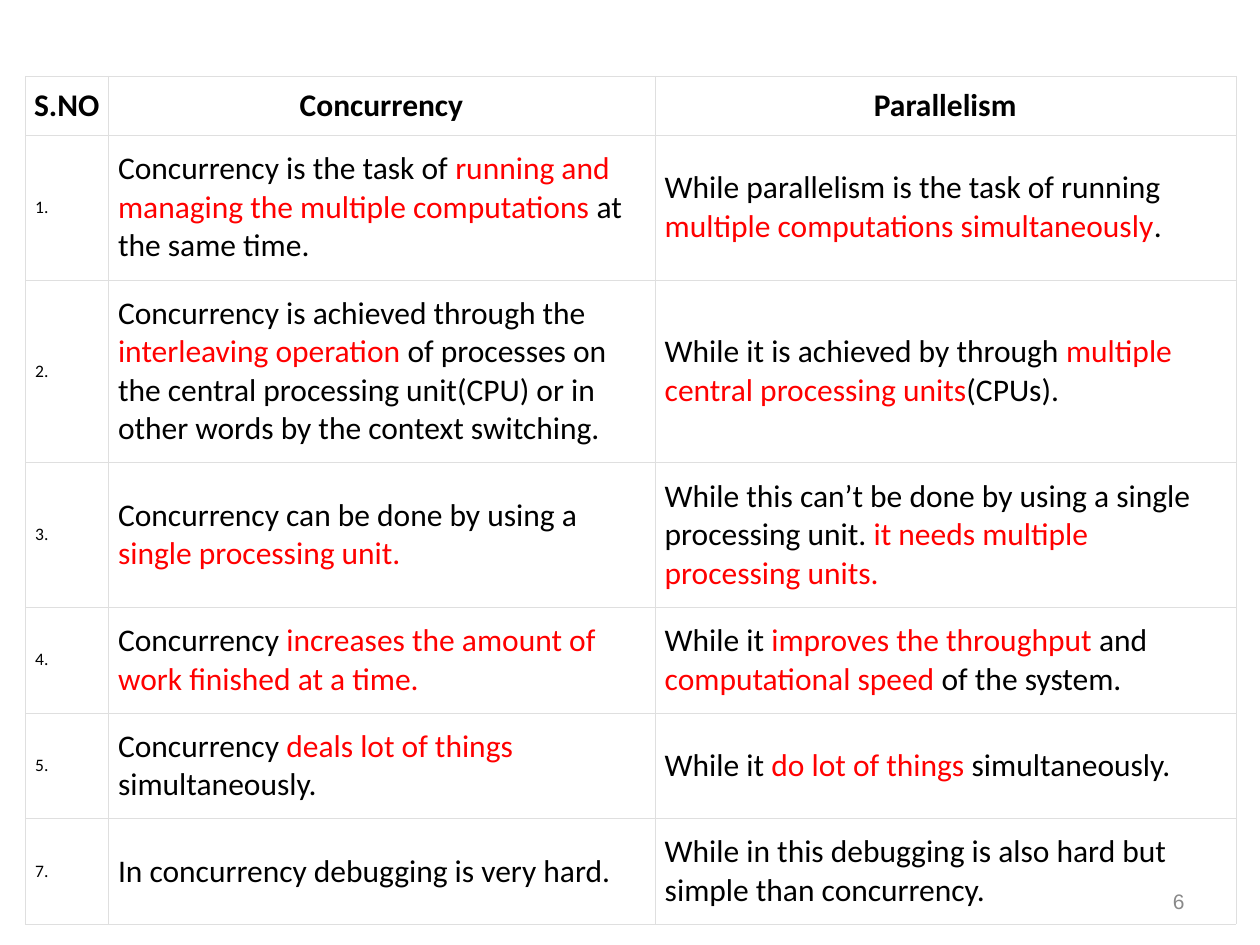
from lxml.etree import SubElement as Sub
from pptx import Presentation
from pptx.dml.color import RGBColor
from pptx.enum.text import MSO_ANCHOR as Anchor, PP_ALIGN as Align
from pptx.oxml.ns import qn
from pptx.util import Cm, Pt

BLACK = RGBColor(0x00, 0x00, 0x00)
RED = RGBColor(0xFF, 0x00, 0x00)
WHITE = RGBColor(0xFF, 0xFF, 0xFF)
GREY = RGBColor(0x89, 0x89, 0x89)
RULE = RGBColor(0xDF, 0xDF, 0xDF)

COLS = [1.67, 11.02, 11.71]
HEIGHTS = [1.19, 2.92, 3.68, 2.92, 2.13, 2.13, 2.13]
MARK = "|"
HEADS = ["S.NO", "Concurrency", "Parallelism"]
ROWS = [
    ["1.",
     "Concurrency is the task of |running and managing the multiple computations |at the same time.",
     "While parallelism is the task of running |multiple computations simultaneously|."],
    ["2.",
     "Concurrency is achieved through the |interleaving operation |of processes on the "
     "central processing unit(CPU) or in other words by the context switching.",
     "While it is achieved by through |multiple central processing units|(CPUs)."],
    ["3.",
     "Concurrency can be done by using a |single processing unit.",
     "While this can’t be done by using a single processing unit. |it needs multiple processing units."],
    ["4.",
     "Concurrency |increases the amount of work finished at a time.",
     "While it |improves the throughput |and |computational speed |of the system."],
    ["5.",
     "Concurrency |deals lot of things |simultaneously.",
     "While it |do lot of things| simultaneously."],
    ["7.",
     "In concurrency debugging is very hard.",
     "While in this debugging is also hard but simple than concurrency."],
]


class Deck:
    body, small = Pt(18), Pt(10)
    face = "Calibri"

    def __init__(self):
        self.prs = Presentation()
        self.prs.slide_width, self.prs.slide_height = Cm(25.4), Cm(19.05)
        self.slide = self.prs.slides.add_slide(self.prs.slide_layouts[6])

    def font(self, run, size, color, face, bold=False):
        run.font.name, run.font.size, run.font.bold = face, size, bold
        run.font.color.rgb = color

    def border(self, cell):
        props = cell._tc.get_or_add_tcPr()
        for side in ("lnL", "lnR", "lnT", "lnB"):
            line = Sub(props, qn(f"a:{side}"), w=str(Pt(0.11)))
            fill = Sub(line, qn("a:solidFill"))
            Sub(fill, qn("a:srgbClr"), val=str(RULE))

    def cell(self, cell, text, size, head, pad):
        cell.margin_left = cell.margin_right = Cm(pad)
        cell.margin_top = cell.margin_bottom = Cm(0.12)
        cell.vertical_anchor = Anchor.MIDDLE
        self.border(cell)
        cell.fill.solid()
        cell.fill.fore_color.rgb = WHITE
        para = cell.text_frame.paragraphs[0]
        para.alignment = Align.CENTER if head else Align.LEFT
        for i, part in enumerate(text.split(MARK)):
            run = para.add_run()
            run.text = part
            self.font(run, size, RED if i % 2 else BLACK, self.face, head)

    def table(self, left, top, heads, rows):
        grid = [heads] + rows
        table = self.slide.shapes.add_table(
            len(grid), len(COLS), Cm(left), Cm(top),
            Cm(sum(COLS)), Cm(sum(HEIGHTS))).table
        table.horz_banding = False
        for col, width in zip(table.columns, COLS):
            col.width = Cm(width)
        for r, (row, height) in enumerate(zip(table.rows, HEIGHTS)):
            row.height = Cm(height)
            for c, text in enumerate(grid[r]):
                head = r == 0
                size = self.small if c == 0 and not head else self.body
                pad = 0.08 if head and c == 0 else 0.2
                self.cell(table.cell(r, c), text, size, head, pad)

    def number(self, text, left, top, width, height):
        box = self.slide.shapes.add_textbox(Cm(left), Cm(top), Cm(width), Cm(height))
        frame = box.text_frame
        frame.word_wrap = True
        frame.vertical_anchor = Anchor.MIDDLE
        frame.text = text
        para = frame.paragraphs[0]
        para.alignment = Align.RIGHT
        self.font(para.runs[0], Pt(12), GREY, "Arial")


def main():
    deck = Deck()
    deck.table(0.51, 1.53, HEADS, ROWS)
    deck.number("6", 18.2, 17.66, 5.93, 1.01)
    deck.prs.save("out.pptx")


if __name__ == "__main__":
    main()
